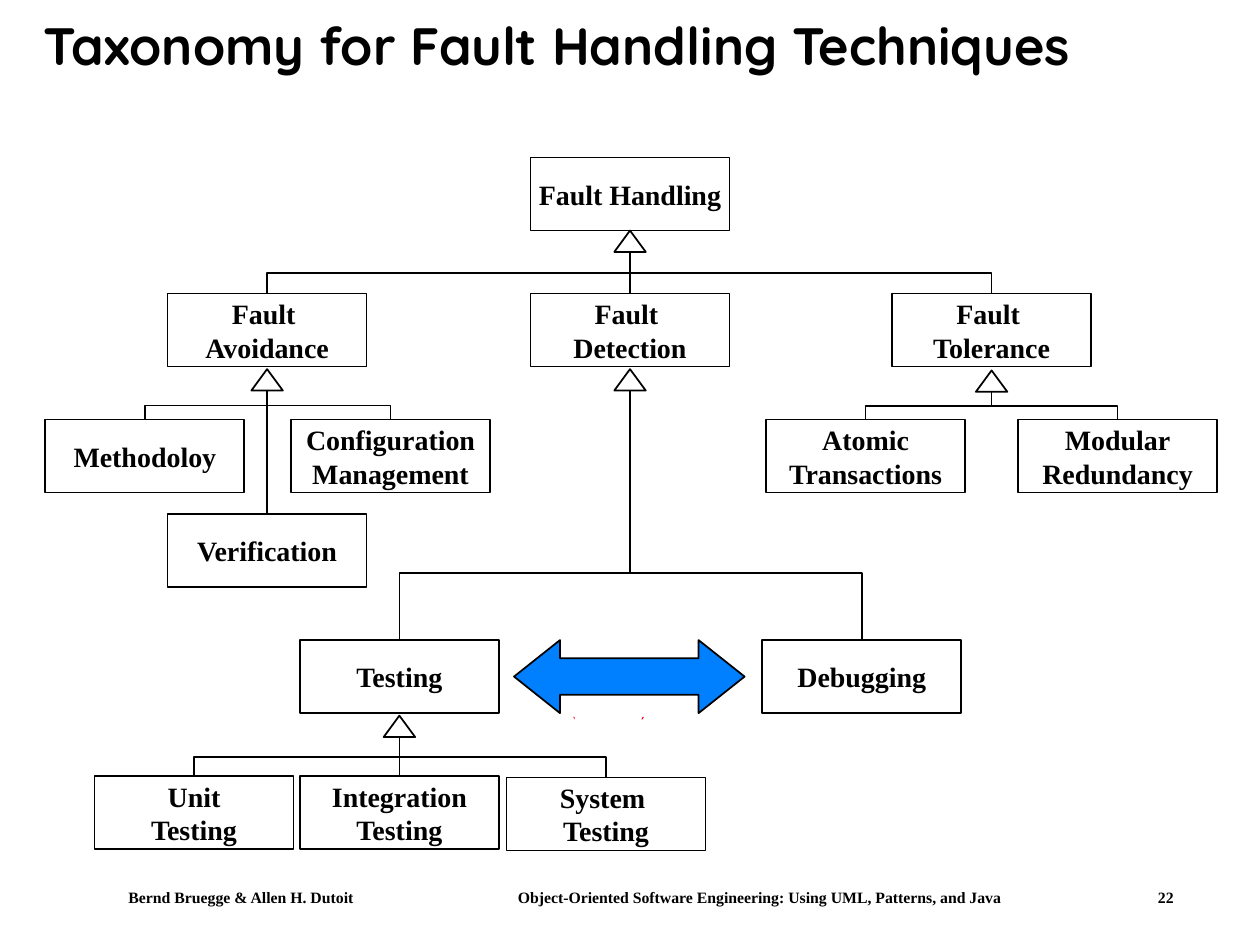
from pptx import Presentation
from pptx.dml.color import RGBColor
from pptx.enum import shapes, text
from pptx.oxml.ns import qn
from pptx.util import Inches, Pt
from lxml import etree

BLACK = RGBColor(0, 0, 0)
WHITE = RGBColor(255, 255, 255)
BLUE = RGBColor(0x00, 0x80, 0xFF)
RED = RGBColor(0xFC, 0x01, 0x28)
SERIF = "Times New Roman"
BOX_W, BOX_H = 1.58, 0.58
TRI_W, TRI_H = 0.25, 0.17

BOXES = {
    "handling": ("Fault Handling", 4.21, 1.25),
    "avoidance": ("Fault \vAvoidance", 1.33, 2.33),
    "detection": ("Fault \vDetection", 4.21, 2.33),
    "tolerance": ("Fault \vTolerance", 7.08, 2.33),
    "verification": ("Verification", 1.33, 4.08),
    "configuration": ("Configuration\vManagement", 2.31, 3.33),
    "methodology": ("Methodoloy", 0.36, 3.33),
    "atomic": ("Atomic\vTransactions", 6.08, 3.33),
    "modular": ("Modular\vRedundancy", 8.08, 3.33),
    "system": ("System \vTesting", 4.02, 6.17),
    "integration": ("Integration\vTesting", 2.38, 6.16),
    "unit": ("Unit\nTesting", 0.75, 6.16),
    "testing": ("Testing", 2.38, 5.08),
    "debugging": ("Debugging", 6.05, 5.08),
}
TREE = [
    ("handling", 0, 2.17, ["avoidance", "detection", "tolerance"]),
    ("avoidance", 0.02, 3.22, ["methodology", "verification", "configuration"]),
    ("detection", 0.02, 4.55, ["testing", "debugging"]),
    ("tolerance", 0.03, 3.22, ["atomic", "modular"]),
    ("testing", 0.02, 6.01, ["unit", "integration", "system"]),
]
RED_MARKS = [
    [(5.11, 5.69), (5.1, 5.69), (5.09, 5.71), (5.1, 5.71)],
    [(4.56, 5.71), (4.56, 5.69), (4.55, 5.69)],
]


def write(sp, words, size, font=SERIF, align=text.PP_ALIGN.LEFT, **frame):
    tf = sp.text_frame
    tf.text = words
    for name, value in frame.items():
        setattr(tf, name, value)
    for p in tf.paragraphs:
        p.alignment = align
        for r in p.runs:
            for name, value in {"size": Pt(size), "name": font, "bold": True}.items():
                setattr(r.font, name, value)
            r.font.color.rgb = BLACK
    return tf


def add_outlined(s, kind, left, top, width, height, fill=WHITE):
    sp = s.shapes.add_shape(kind, *map(Inches, (left, top, width, height)))
    sp.shadow.inherit = False
    sp.fill.solid()
    sp.fill.fore_color.rgb = fill
    sp.line.color.rgb = BLACK
    sp.line.width = Pt(1)
    return sp


def add_box(s, words, left, top):
    sp = add_outlined(s, shapes.MSO_SHAPE.RECTANGLE, left, top, BOX_W, BOX_H)
    write(sp, words, 16, align=text.PP_ALIGN.CENTER, word_wrap=False,
          vertical_anchor=text.MSO_ANCHOR.MIDDLE)
    return sp


def add_line(s, kind, *ends):
    c = s.shapes.add_connector(kind, *map(Inches, ends))
    c.line.color.rgb = BLACK
    c.line.width = Pt(1)
    etree.SubElement(c._element.spPr, qn("a:effectLst"))
    return c


def add_elbow(s, x1, y1, x2, y2, bend):
    mid_x, mid_y = (x1 + x2) / 2, (y1 + y2) / 2
    half_w, half_h = abs(x2 - x1) / 2, (y1 - y2) / 2
    side = 1 if x1 < x2 else -1
    c = add_line(s, shapes.MSO_CONNECTOR.ELBOW,
                 mid_x + side * half_h, mid_y + half_w,
                 mid_x - side * half_h, mid_y - half_w)
    sp_pr = c._element.spPr
    sp_pr.find(qn("a:xfrm")).set("rot", str((90 if side > 0 else 270) * 60000))
    guides = sp_pr.find(qn("a:prstGeom")).find(qn("a:avLst"))
    share = round((y1 - bend) / (y1 - y2) * 100000)
    etree.SubElement(guides, qn("a:gd"), name="adj1", fmla=f"val {share}")


def add_branch(s, boxes, parent, gap, bend, children):
    _, left, top = BOXES[parent]
    x, tip = left + BOX_W / 2, top + BOX_H + gap
    base = tip + TRI_H
    for child in children:
        _, child_left, child_top = BOXES[child]
        child_x = child_left + BOX_W / 2
        if abs(child_x - x) < 0.01:
            c = add_line(s, shapes.MSO_CONNECTOR.STRAIGHT, x, child_top, x, base)
            c.begin_connect(boxes[child], 0)
        else:
            add_elbow(s, child_x, child_top, x, base, bend)
    add_outlined(s, shapes.MSO_SHAPE.ISOSCELES_TRIANGLE, x - TRI_W / 2, tip, TRI_W, TRI_H)


def add_mark(s, points):
    start, *rest = [(Inches(x), Inches(y)) for x, y in points]
    builder = s.shapes.build_freeform(*start)
    builder.add_line_segments(rest, close=True)
    sp = builder.convert_to_shape()
    sp.shadow.inherit = False
    sp.fill.solid()
    sp.fill.fore_color.rgb = RED
    sp.line.fill.background()


def add_title(s):
    sp = s.shapes.add_textbox(Inches(0.25), 0, Inches(8.92), Inches(0.77))
    tf = write(sp, "Taxonomy for Fault Handling Techniques", 30, "Quicksand",
               word_wrap=True, vertical_anchor=text.MSO_ANCHOR.MIDDLE)
    tf.paragraphs[0].line_spacing = 0.9


def add_footer(s):
    sp = s.shapes.add_textbox(*map(Inches, (0.58, 7, 9.17, 0.25)))
    parts = ["Bernd Bruegge & Allen H. Dutoit",
             "Object-Oriented Software Engineering: Using UML, Patterns, and Java", "22"]
    tf = write(sp, "\t".join(parts), 9, word_wrap=True, margin_left=Inches(0.44))
    tabs = etree.SubElement(tf.paragraphs[0]._p.get_or_add_pPr(), qn("a:tabLst"))
    for stop in (3.09, 8.17):
        etree.SubElement(tabs, qn("a:tab"), pos=str(Inches(stop)), algn="l")


def main():
    prs = Presentation()
    prs.slide_width, prs.slide_height = Inches(10), Inches(7.5)
    s = prs.slides.add_slide(prs.slide_layouts[6])
    add_footer(s)
    add_title(s)
    for points in RED_MARKS:
        add_mark(s, points)
    boxes = {name: add_box(s, *box) for name, box in BOXES.items()}
    for branch in TREE:
        add_branch(s, boxes, *branch)
    arrow = add_outlined(s, shapes.MSO_SHAPE.LEFT_RIGHT_ARROW, 4.08, 5.08, 1.83, BOX_H, BLUE)
    arrow.adjustments[1] = 0.63
    prs.save("out.pptx")


if __name__ == "__main__":
    main()
